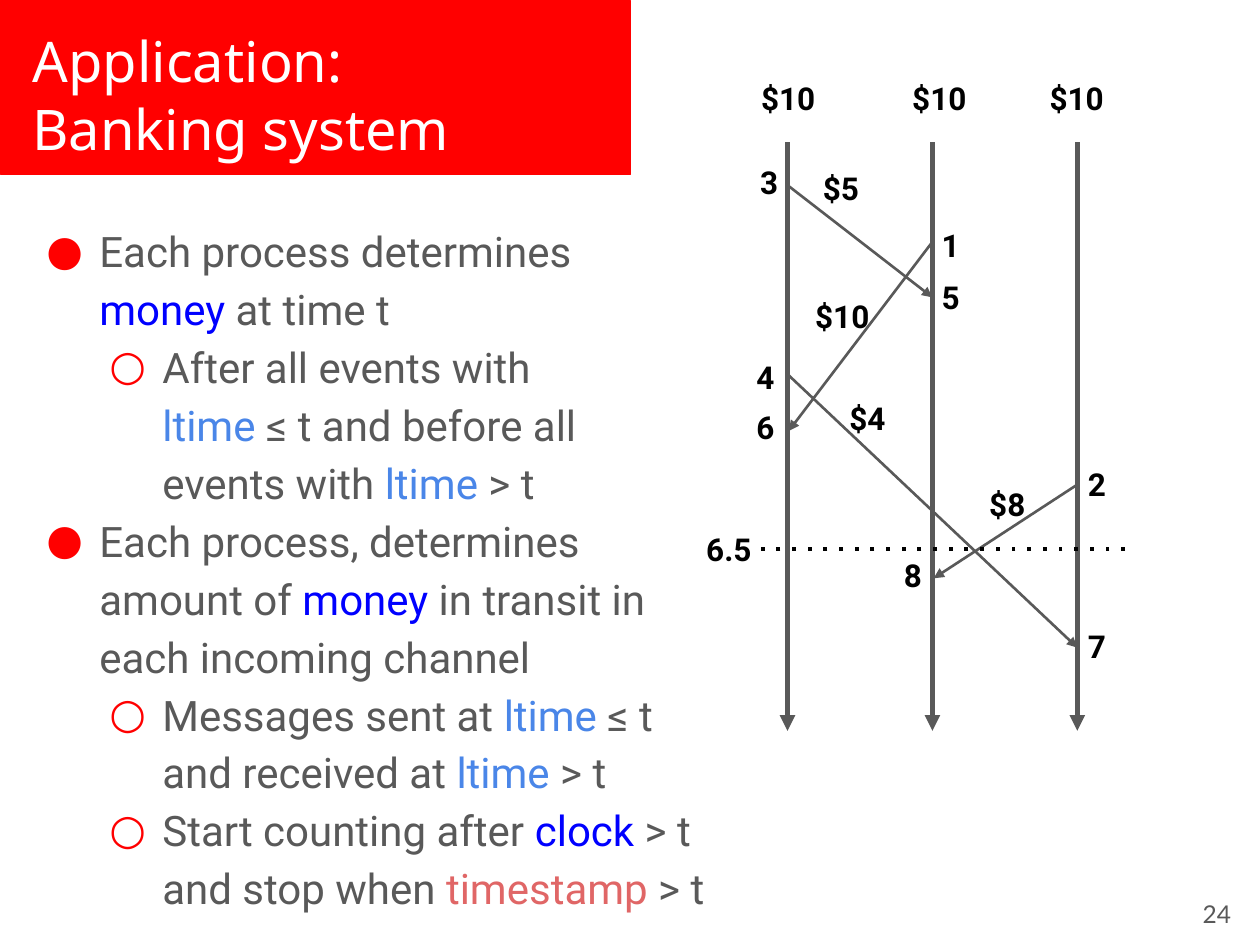
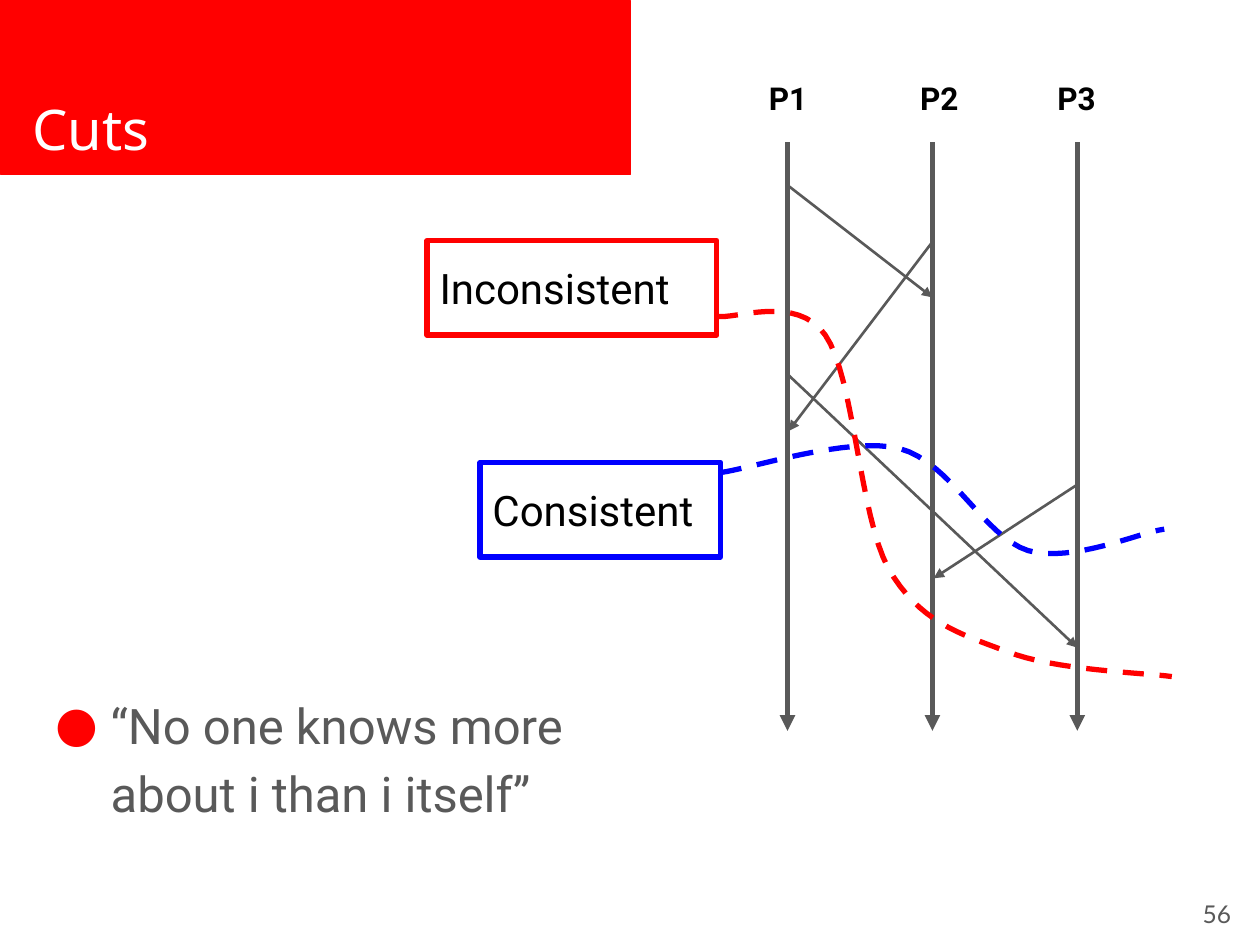
import pptx
import pptx.util
import pptx.dml.color
import pptx.enum.shapes
import pptx.enum.text
import pptx.oxml
import pptx.oxml.ns

RED, BLUE, GREY, BLACK, WHITE = "FF0000", "0000FF", "595959", "000000", "FFFFFF"
HUES = {"money": BLUE, "clock": BLUE, "ltime": "4A86E8", "timestamp": "E06666"}

TITLE = dict(size=32, name="Noto Sans", color=WHITE)
NUMBER = dict(size=14, name="Lato", color=GREY)
LABEL = dict(size=18, name="Roboto", color=BLACK, bold=True)
BOXED = dict(size=24, name="Roboto", color=BLACK)
BODY = dict(size=24, name="Roboto", color=GREY)
QUOTE = dict(BODY, size=28)

AXES = [6.25, 7.4, 8.55]
HEADS = [5.79, 6.99, 8.08]
SENDS = [
    (6.25, 1.47, 7.4, 2.36),
    (6.25, 2.97, 8.55, 5.14),
    (7.4, 1.92, 6.26, 3.42),
    (8.56, 3.84, 7.41, 4.59),
]

BANK = [
    (0, "Each process determines |money| at time t"),
    (1, "After all events with|\n|ltime| ≤ t and before all events with |ltime| > t"),
    (0, "Each process, determines amount of |money| in transit in each incoming channel"),
    (1, "Messages sent at |ltime| ≤ t and received at |ltime| > t"),
    (1, "Start counting after |clock| > t and stop when |timestamp| > t"),
]
MARKS = [
    ("$10", 6.22, 2.26), ("$5", 6.21, 1.24), ("$8", 7.53, 3.75), ("$4", 6.42, 3.07),
    ("1", 7.08, 1.69), ("5", 7.08, 2.11), ("3", 5.64, 1.19), ("2", 8.24, 3.59),
    ("6", 5.61, 3.14), ("4", 5.61, 2.74), ("8", 6.78, 4.31), ("7", 8.24, 4.88),
    ("6.5", 5.32, 4.11),
]
SAYING = [(0, "“No one knows more about i than i itself”")]
CUTS = [
    ("Consistent", BLUE, (3.81, 3.67, 1.91, 0.75), [
        (5.72, 3.75), (5.96, 3.72), (6.73, 3.46), (7.14, 3.56), (7.55, 3.67),
        (7.81, 4.26), (8.16, 4.37), (8.51, 4.47), (9.06, 4.22), (9.24, 4.2)]),
    ("Inconsistent", RED, (3.39, 1.91, 2.3, 0.75), [
        (5.69, 2.51), (5.83, 2.54), (6.32, 2.33), (6.55, 2.66), (6.78, 2.99),
        (6.82, 4.09), (7.05, 4.51), (7.29, 4.93), (7.61, 5.03), (7.99, 5.17),
        (8.36, 5.32), (9.08, 5.34), (9.3, 5.37)]),
]

Inches = pptx.util.Inches
Pt = pptx.util.Pt
ALIGN = pptx.enum.text.PP_ALIGN
ANCHOR = pptx.enum.text.MSO_ANCHOR
RECT = pptx.enum.shapes.MSO_SHAPE.RECTANGLE
STRAIGHT = pptx.enum.shapes.MSO_CONNECTOR.STRAIGHT


def paint(hue):
    return pptx.dml.color.RGBColor.from_string(hue)


def add_node(parent, tag, **attrs):
    node = pptx.oxml.parse_xml(f"<{tag} {pptx.oxml.ns.nsdecls('a')}/>")
    for key, value in attrs.items():
        node.set(key, value)
    parent.append(node)


def stroke(shape, hue, width, dash=None, arrow=False):
    shape.line.color.rgb = paint(hue)
    shape.line.width = Pt(width)
    ln = shape.element.spPr.find(pptx.oxml.ns.qn("a:ln"))
    if dash:
        add_node(ln, "a:prstDash", val=dash)
    if arrow:
        add_node(ln, "a:tailEnd", type="triangle")


def add_line(slide, ends, hue, width, **look):
    line = slide.shapes.add_connector(STRAIGHT, *map(Inches, ends))
    stroke(line, hue, width, **look)
    add_node(line.element.spPr, "a:effectLst")


def add_rect(slide, place, hue, width, fill=None):
    rect = slide.shapes.add_shape(RECT, *map(Inches, place))
    rect.shadow.inherit = False
    if fill:
        rect.fill.solid()
        rect.fill.fore_color.rgb = paint(fill)
    else:
        rect.fill.background()
    stroke(rect, hue, width)
    return rect


def style(font, look):
    for key, value in look.items():
        if key == "color":
            font.color.rgb = paint(value)
        else:
            setattr(font, key, Pt(value) if key == "size" else value)


def set_frame(shape, anchor=ANCHOR.TOP):
    frame = shape.text_frame
    margins = {f"margin_{side}": Inches(0.1) for side in ("left", "top", "right", "bottom")}
    for key, value in dict(margins, word_wrap=True, vertical_anchor=anchor).items():
        setattr(frame, key, value)
    return frame


def write(shape, text, look, align=ALIGN.LEFT, anchor=ANCHOR.TOP):
    frame = set_frame(shape, anchor)
    frame.text = text
    for para in frame.paragraphs:
        para.alignment = align
        style(para.runs[0].font, look)


def add_text(slide, place, text, look, **layout):
    write(slide.shapes.add_textbox(*map(Inches, place)), text, look, **layout)


def add_label(slide, text, left, top):
    add_text(slide, (left, top, 0.93, 0.59), text, LABEL, align=ALIGN.CENTER)


def add_list(slide, place, items, look, hang):
    frame = set_frame(slide.shapes.add_textbox(*map(Inches, place)))
    for index, (level, text) in enumerate(items):
        para = frame.add_paragraph() if index else frame.paragraphs[0]
        para.level = level
        para.line_spacing = 1.15
        props = para._p.get_or_add_pPr()
        props.set("marL", str(Inches(0.5 * (level + 1))))
        props.set("indent", str(-Inches(hang)))
        add_node(props, "a:buClr")
        add_node(props[-1], "a:srgbClr", val=RED)
        add_node(props, "a:buFont", typeface=look["name"])
        add_node(props, "a:buChar", char="●○"[level])
        for part in text.split("|"):
            if part == "\n":
                para.add_line_break()
                continue
            run = para.add_run()
            run.text = part
            style(run.font, dict(look, color=HUES.get(part, GREY)))


def trace(knots, steps=16):
    for first in range(0, len(knots) - 1, 3):
        a, b, c, d = knots[first:first + 4]
        for step in range(1, steps + 1):
            t = step / steps
            u = 1 - t
            yield tuple(
                Inches(u**3 * p + 3 * u * u * t * q + 3 * u * t * t * r + t**3 * s)
                for p, q, r, s in zip(a, b, c, d))


def add_curve(slide, knots, hue):
    pen = slide.shapes.build_freeform(*map(Inches, knots[0]))
    pen.add_line_segments(list(trace(knots)), close=False)
    curve = pen.convert_to_shape()
    curve.shadow.inherit = False
    curve.fill.background()
    stroke(curve, hue, 3, dash="dash")


def add_base(deck, title, number):
    slide = deck.slides.add_slide(deck.slide_layouts[6])
    add_rect(slide, (0, 0, 5, 1.38), RED, 0.1, fill=RED)
    add_text(slide, (0.16, 0.21, 4.42, 1.17), title, TITLE, anchor=ANCHOR.BOTTOM)
    add_text(slide, (9.27, 6.97, 0.6, 0.57), number, NUMBER,
             align=ALIGN.RIGHT, anchor=ANCHOR.MIDDLE)
    return slide


def add_chart_lines(slide, heads):
    for axis, left, head in zip(AXES, HEADS, heads):
        add_line(slide, (axis, 1.13, axis, 5.8), GREY, 3, arrow=True)
        add_label(slide, head, left, 0.53)
    for ends in SENDS:
        add_line(slide, ends, GREY, 1.5, arrow=True)


def main():
    deck = pptx.Presentation()
    deck.slide_width, deck.slide_height = Inches(10), Inches(7.5)

    bank = add_base(deck, "Application:\nBanking system", "24")
    add_list(bank, (0.19, 1.63, 5.52, 5.39), BANK, BODY, 0.42)
    add_chart_lines(bank, ["$10"] * 3)
    add_line(bank, (8.93, 4.36, 5.98, 4.36), BLACK, 2.25, dash="dot")
    for mark in MARKS:
        add_label(bank, *mark)

    cuts = add_base(deck, "Cuts", "56")
    add_list(cuts, (0.28, 5.35, 4.42, 1.67), SAYING, QUOTE, 0.44)
    add_chart_lines(cuts, ["P1", "P2", "P3"])
    for name, hue, place, knots in CUTS:
        add_curve(cuts, knots, hue)
        write(add_rect(cuts, place, hue, 3), name, BOXED, anchor=ANCHOR.MIDDLE)

    deck.save("out.pptx")


if __name__ == "__main__":
    main()
